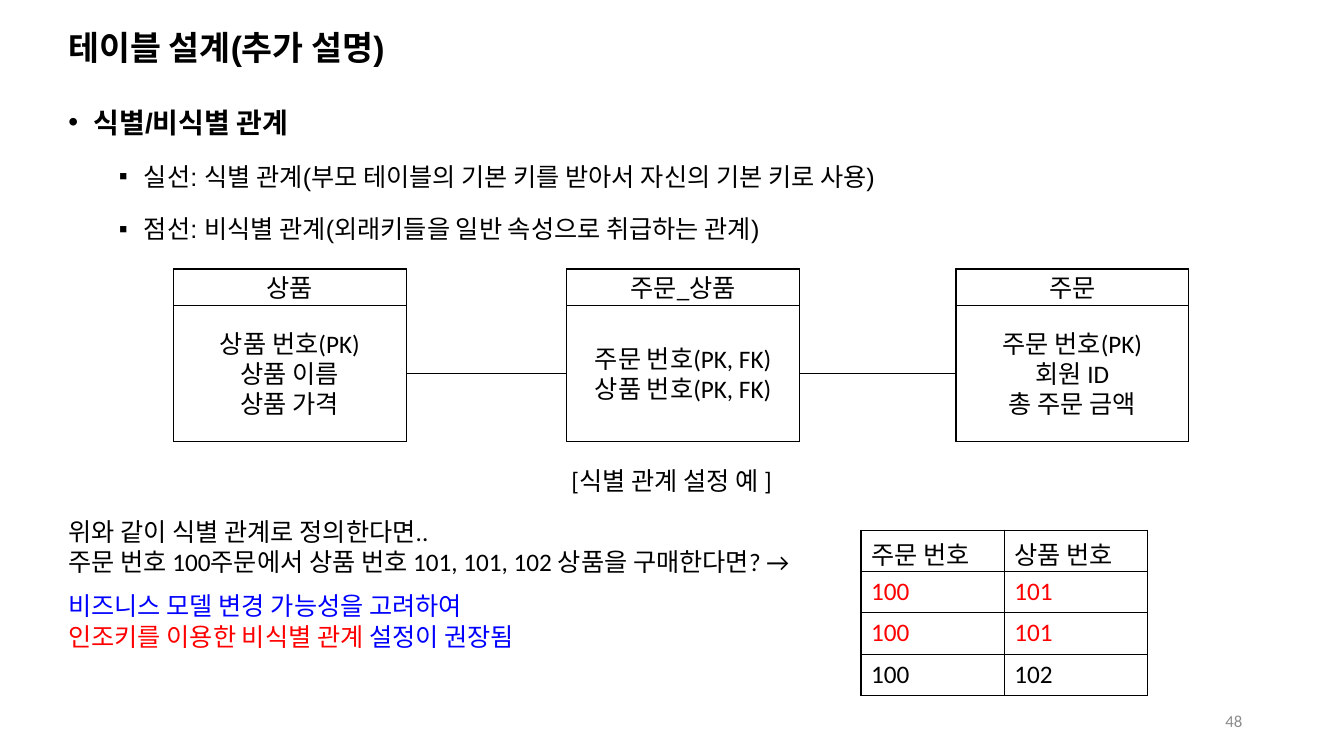
from dataclasses import dataclass

from lxml.etree import SubElement
from pptx import Presentation
from pptx.dml.color import RGBColor
from pptx.enum.shapes import MSO_CONNECTOR, MSO_SHAPE
from pptx.enum.text import MSO_ANCHOR, MSO_AUTO_SIZE, PP_ALIGN
from pptx.oxml import parse_xml
from pptx.oxml.ns import nsdecls, qn
from pptx.util import Pt

EMU_PER_PX = 9144
BLACK = "000000"
RED = "FF0000"
BLUE = "0000FF"
GRAY = "8C8C8C"


@dataclass(frozen=True)
class Run:
    text: str
    color: str = BLACK


@dataclass(frozen=True)
class Bullet:
    text: str
    symbol: str
    level: int
    size: int
    margin: int
    space_before: int


@dataclass(frozen=True)
class Entity:
    left: int
    name: str
    fields: tuple[str, ...]


@dataclass(frozen=True)
class Note:
    left: int
    top: int
    width: int
    height: int
    lines: tuple[tuple[Run, ...], ...]


BULLETS = (
    Bullet("식별/비식별 관계", "•", 0, 20, 25, 0),
    Bullet("실선: 식별 관계(부모 테이블의 기본 키를 받아서 자신의 기본 키로 사용)", "▪", 1, 18, 75, 5),
    Bullet("점선: 비식별 관계(외래키들을 일반 속성으로 취급하는 관계)", "▪", 1, 18, 75, 5),
)
ENTITIES = (
    Entity(172, "상품", ("상품 번호(PK)", "상품 이름", "상품 가격")),
    Entity(562, "주문_상품", ("주문 번호(PK, FK)", "상품 번호(PK, FK)")),
    Entity(948, "주문", ("주문 번호(PK)", "회원 ID", "총 주문 금액")),
)
ENTITY_TOP, ENTITY_WIDTH, HEADER_HEIGHT, FIELDS_HEIGHT = 267, 231, 36, 135
RELATION_Y = 370
NOTES = (
    Note(58, 507, 789, 71, (
        (Run("위와 같이 식별 관계로 정의한다면.."),),
        (Run("주문 번호 100주문에서 상품 번호 101, 101, 102 상품을 구매한다면? →"),),
    )),
    Note(58, 581, 504, 71, (
        (Run("비즈니스 모델 변경 가능성을 고려하여", BLUE),),
        (Run("인조키를 이용한 비식별 관계", RED), Run(" 설정이 권장됨", BLUE)),
    )),
    Note(557, 457, 220, 40, ((Run("[식별 관계 설정 예 ]"),),)),
)
ORDER_ROWS = (
    (Run("주문 번호"), Run("상품 번호")),
    (Run("100", RED), Run("101", RED)),
    (Run("100", RED), Run("101", RED)),
    (Run("100"), Run("102")),
)
COLUMN_WIDTH, ROW_HEIGHT = 142, 41


def px(length: int) -> int:
    return length * EMU_PER_PX


def rgb(color: str) -> RGBColor:
    return RGBColor.from_string(color)


def add_run(paragraph, run: Run, size: int = 18, font: str = "Calibri", bold: bool = False) -> None:
    text_run = paragraph.add_run()
    text_run.text = run.text
    text_run.font.size = Pt(size)
    text_run.font.name = font
    text_run.font.bold = bold
    text_run.font.color.rgb = rgb(run.color)


def write_lines(frame, lines, align=PP_ALIGN.LEFT, size: int = 18) -> None:
    for index, runs in enumerate(lines):
        paragraph = frame.add_paragraph() if index else frame.paragraphs[0]
        paragraph.alignment = align
        for run in runs:
            add_run(paragraph, run, size)


def add_text_frame(slide, left: int, top: int, width: int, height: int):
    box = slide.shapes.add_textbox(px(left), px(top), px(width), px(height))
    box.text_frame.word_wrap = True
    return box.text_frame


def fill_title(slide) -> None:
    title = slide.shapes.title
    title.left, title.top, title.width, title.height = px(58), px(18), px(1150), px(38)
    frame = title.text_frame
    frame.auto_size = MSO_AUTO_SIZE.NONE
    frame.vertical_anchor = MSO_ANCHOR.MIDDLE
    paragraph = frame.paragraphs[0]
    paragraph.alignment = PP_ALIGN.LEFT
    paragraph.line_spacing = 1.5
    add_run(paragraph, Run("테이블 설계(추가 설명)"), 24, "Arial", True)


def add_bullets(slide) -> None:
    frame = add_text_frame(slide, 58, 83, 1233, 644)
    for index, bullet in enumerate(BULLETS):
        paragraph = frame.add_paragraph() if index else frame.paragraphs[0]
        properties = paragraph._p.get_or_add_pPr()
        properties.set("marL", str(px(bullet.margin)))
        properties.set("indent", str(px(-25)))
        SubElement(properties, qn("a:buFont")).set("typeface", "Arial")
        SubElement(properties, qn("a:buChar")).set("char", bullet.symbol)
        paragraph.level = bullet.level
        paragraph.line_spacing = 1.5
        paragraph.space_before = Pt(bullet.space_before)
        add_run(paragraph, Run(bullet.text), bullet.size, "Arial", bullet.level == 0)


def add_box(group, left: int, top: int, height: int, lines: tuple[str, ...]) -> None:
    shape = group.shapes.add_shape(
        MSO_SHAPE.RECTANGLE, px(left), px(top), px(ENTITY_WIDTH), px(height))
    shape.shadow.inherit = False
    shape.fill.background()
    shape.line.color.rgb = rgb(BLACK)
    shape.line.width = Pt(1)
    shape.text_frame.vertical_anchor = MSO_ANCHOR.MIDDLE
    write_lines(shape.text_frame, [(Run(line),) for line in lines], PP_ALIGN.CENTER)


def add_entity(slide, entity: Entity) -> None:
    group = slide.shapes.add_group_shape()
    add_box(group, entity.left, ENTITY_TOP, HEADER_HEIGHT + FIELDS_HEIGHT, ())
    add_box(group, entity.left, ENTITY_TOP, HEADER_HEIGHT, (entity.name,))
    add_box(group, entity.left, ENTITY_TOP + HEADER_HEIGHT, FIELDS_HEIGHT, entity.fields)


def add_relation(slide, parent: Entity, child: Entity) -> None:
    connector = slide.shapes.add_connector(
        MSO_CONNECTOR.STRAIGHT, px(parent.left + ENTITY_WIDTH), px(RELATION_Y),
        px(child.left), px(RELATION_Y))
    connector.line.color.rgb = rgb(BLACK)
    connector.line.width = Pt(0.5)
    SubElement(connector._element.spPr, qn("a:effectLst"))


def add_borders(cell) -> None:
    properties = cell._tc.get_or_add_tcPr()
    for index, side in enumerate(("lnL", "lnR", "lnT", "lnB")):
        properties.insert(index, parse_xml(
            f'<a:{side} {nsdecls("a")} w="{Pt(1)}"><a:solidFill>'
            f'<a:srgbClr val="{BLACK}"/></a:solidFill></a:{side}>'))


def add_order_table(slide) -> None:
    row_count, column_count = len(ORDER_ROWS), len(ORDER_ROWS[0])
    table = slide.shapes.add_table(
        row_count, column_count, px(854), px(526),
        px(COLUMN_WIDTH * column_count), px(ROW_HEIGHT * row_count)).table
    table.first_row = False
    table.horz_banding = False
    for row_index, row in enumerate(ORDER_ROWS):
        for column_index, run in enumerate(row):
            cell = table.cell(row_index, column_index)
            cell.fill.background()
            add_borders(cell)
            write_lines(cell.text_frame, ((run,),))


def main() -> None:
    presentation = Presentation()
    presentation.slide_width = px(1333)
    presentation.slide_height = px(750)
    slide = presentation.slides.add_slide(presentation.slide_layouts[5])
    fill_title(slide)
    add_bullets(slide)
    number_frame = add_text_frame(slide, 942, 695, 300, 40)
    number_frame.vertical_anchor = MSO_ANCHOR.MIDDLE
    write_lines(number_frame, ((Run("48", GRAY),),), PP_ALIGN.RIGHT, 12)
    for entity in ENTITIES:
        add_entity(slide, entity)
    for parent, child in zip(ENTITIES, ENTITIES[1:]):
        add_relation(slide, parent, child)
    for note in NOTES:
        frame = add_text_frame(slide, note.left, note.top, note.width, note.height)
        write_lines(frame, note.lines)
    add_order_table(slide)
    presentation.save("out.pptx")


if __name__ == "__main__":
    main()
